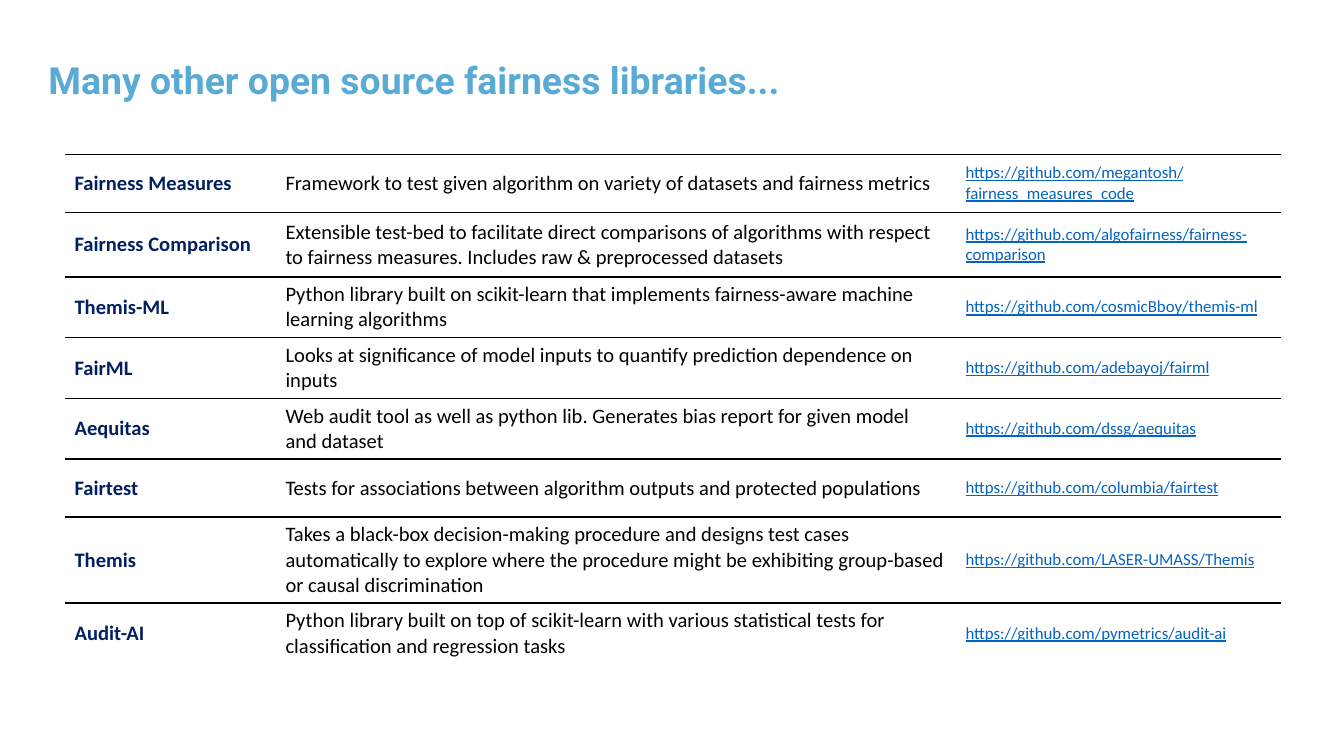
from lxml import etree
from pptx import Presentation, util as u
from pptx.dml.color import RGBColor
from pptx.enum import text
from pptx.oxml.ns import qn

INK = {"title": "59ABD6", "name": "002060", "body": "000000",
       "link": "0563C1", "rule": "000000"}

# Slide of 16 to 9, and the grid of the table, in inches
WIDE = 10
TALL = WIDE * 9 / 16
COLS = (1.57, 5.06, 2.42)
LOW, MID, HIGH = 0.43, 0.48, 0.62
ROWS = (LOW, MID, LOW, LOW, LOW, LOW, HIGH, LOW)

# Size and look of each column: name, description, link
LOOKS = (
    dict(size=11, ink="name", bold=True),
    dict(size=11, ink="body"),
    dict(size=9, ink="link", under=True),
)

SITE = "https://github.com/"
LIBS = (
    ("Fairness Measures",
     "Framework to test given algorithm on variety of datasets and fairness metrics",
     "megantosh/fairness_measures_code"),
    ("Fairness Comparison",
     "Extensible test-bed to facilitate direct comparisons of algorithms with respect "
     "to fairness measures. Includes raw & preprocessed datasets",
     "algofairness/fairness-comparison"),
    ("Themis-ML",
     "Python library built on scikit-learn that implements fairness-aware machine "
     "learning algorithms",
     "cosmicBboy/themis-ml"),
    ("FairML",
     "Looks at significance of model inputs to quantify prediction dependence on inputs",
     "adebayoj/fairml"),
    ("Aequitas",
     "Web audit tool as well as python lib. Generates bias report for given model "
     "and dataset",
     "dssg/aequitas"),
    ("Fairtest",
     "Tests for associations between algorithm outputs and protected populations",
     "columbia/fairtest"),
    ("Themis",
     "Takes a black-box decision-making procedure and designs test cases "
     "automatically to explore where the procedure might be exhibiting group-based "
     "or causal discrimination",
     "LASER-UMASS/Themis"),
    ("Audit-AI",
     "Python library built on top of scikit-learn with various statistical tests for "
     "classification and regression tasks",
     "pymetrics/audit-ai"),
)


def add_run(para, words, size, ink, face="Calibri", bold=False, under=False):
    run = para.add_run()
    run.text = words
    font = run.font
    font.name, font.size = face, u.Pt(size)
    font.bold, font.underline = bold, under
    font.color.rgb = RGBColor.from_string(INK[ink])


def add_rules(cell, ruled):
    """Draw the ruled sides (T, B) of a cell and clear the others."""
    props = cell._tc.get_or_add_tcPr()
    for side in "LRTB":
        line = etree.SubElement(props, qn(f"a:ln{side}"), w=str(u.Pt(1)))
        if side in ruled:
            fill = etree.SubElement(line, qn("a:solidFill"))
            etree.SubElement(fill, qn("a:srgbClr"), val=INK["rule"])
        else:
            etree.SubElement(line, qn("a:noFill"))


def fill_cell(cell, words, look, ruled):
    add_rules(cell, ruled)
    cell.fill.background()
    cell.vertical_anchor = text.MSO_ANCHOR.MIDDLE
    cell.margin_left, cell.margin_right = u.Pt(5.4), u.Inches(0.08)
    cell.margin_top = cell.margin_bottom = u.Pt(2.7)
    add_run(cell.text_frame.paragraphs[0], words, **look)


def add_title(slide, words):
    title = slide.shapes.title
    title.left, title.top = u.Inches(0.26), u.Inches(0.31)
    title.width, title.height = u.Inches(7.7), u.Inches(0.85)
    frame = title.text_frame
    frame.word_wrap = True
    frame.auto_size = text.MSO_AUTO_SIZE.NONE
    frame.vertical_anchor = text.MSO_ANCHOR.MIDDLE
    frame.margin_bottom = u.Inches(0.29)  # lifts the line above the middle
    para = frame.paragraphs[0]
    para.alignment = text.PP_ALIGN.LEFT
    para.line_spacing = 0.9
    add_run(para, words, 20, "title", face="Roboto", bold=True)


def add_grid(slide):
    frame = slide.shapes.add_table(
        len(ROWS), len(COLS), u.Inches(0.48), u.Inches(1.15),
        u.Inches(sum(COLS)), u.Inches(sum(ROWS)))
    table = frame.table
    table.first_row = table.horz_banding = False
    for col, width in zip(table.columns, COLS):
        col.width = u.Inches(width)
    for row, height in zip(table.rows, ROWS):
        row.height = u.Inches(height)
    for r, (name, about, page) in enumerate(LIBS):
        ruled = "T" if r == len(LIBS) - 1 else "TB"
        for c, words in enumerate((name, about, SITE + page)):
            fill_cell(table.cell(r, c), words, LOOKS[c], ruled)


def main():
    deck = Presentation()
    deck.slide_width, deck.slide_height = u.Inches(WIDE), u.Inches(TALL)
    slide = deck.slides.add_slide(deck.slide_layouts[5])
    add_grid(slide)
    add_title(slide, "Many other open source fairness libraries...")
    deck.save("out.pptx")


if __name__ == "__main__":
    main()
